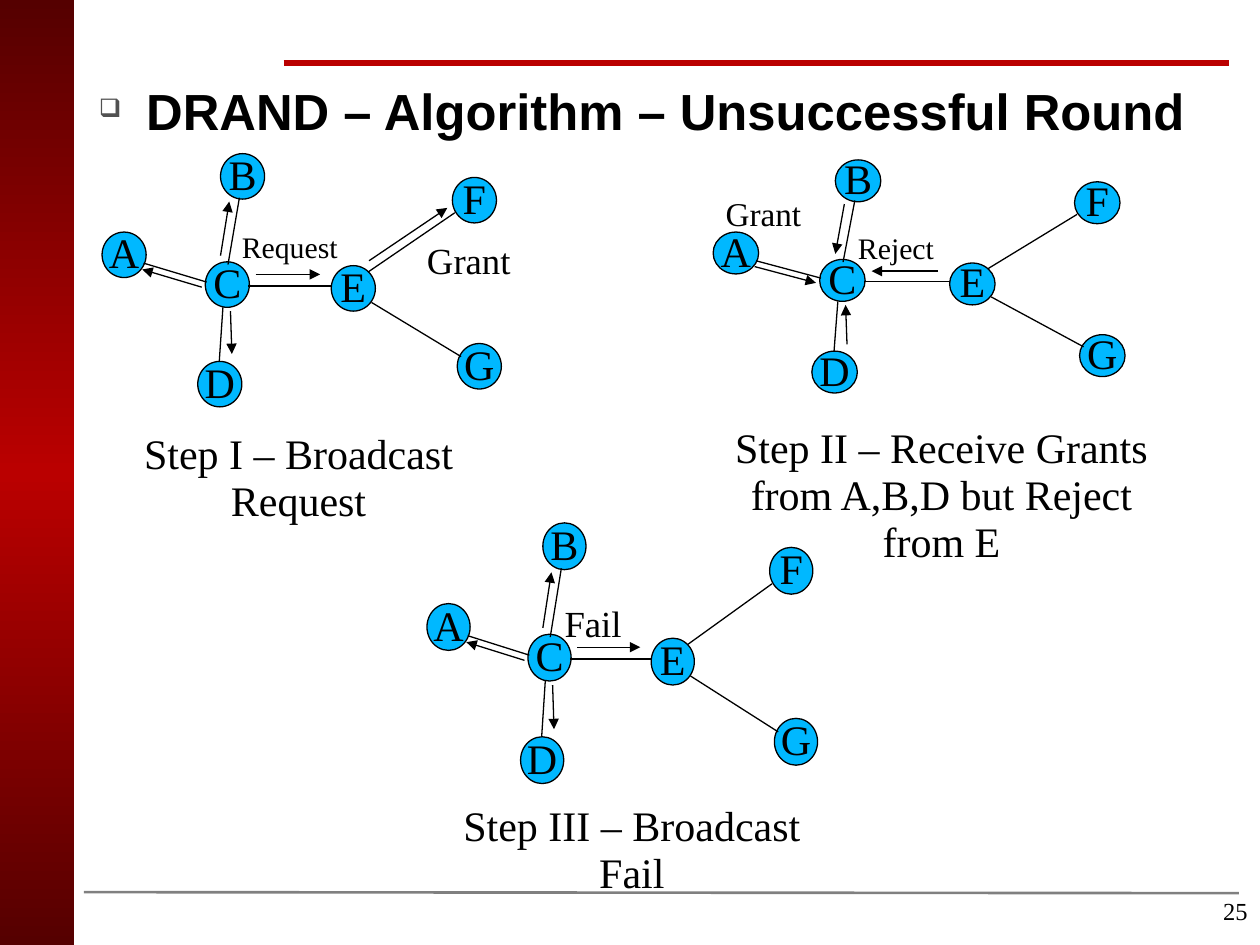
from copy import deepcopy

from lxml import etree
from pptx import Presentation
from pptx.dml.color import RGBColor
from pptx.enum.shapes import MSO_CONNECTOR, MSO_SHAPE
from pptx.enum.text import MSO_ANCHOR, PP_ALIGN
from pptx.oxml.ns import qn
from pptx.util import Pt

STRAIGHT = MSO_CONNECTOR.STRAIGHT
OVAL, RECTANGLE = MSO_SHAPE.OVAL, MSO_SHAPE.RECTANGLE
TOP, MIDDLE = MSO_ANCHOR.TOP, MSO_ANCHOR.MIDDLE
LEFT, CENTER, RIGHT = PP_ALIGN.LEFT, PP_ALIGN.CENTER, PP_ALIGN.RIGHT

BLACK = RGBColor(0x00, 0x00, 0x00)
BLUE = RGBColor(0x00, 0xB8, 0xFF)
RED = RGBColor(0xBA, 0x00, 0x00)
DARK_RED = RGBColor(0x55, 0x00, 0x00)
GRAY = RGBColor(0x80, 0x80, 0x80)
BULLET_GRAY = RGBColor(0x51, 0x51, 0x51)

SERIF = "Times New Roman"
GRAPH_WIDTH, GRAPH_HEIGHT = 228.2, 144.7
NODE_WIDTH, NODE_HEIGHT = 25.2, 26
NODES = {
    "A": (0, 44.8), "F": (200.2, 13.6), "D": (54.7, 118.7), "G": (203, 108.5),
    "E": (131, 64), "B": (67.7, 0), "C": (59, 61.8),
}
EDGES = [
    (78.5, 25.2, 72, 63.4), (69.1, 87.8, 67, 118.8), (59.8, 73.4, 23.8, 62.6),
    (83.5, 75.6, 131, 75.6), (152, 67.7, 201.6, 33.8), (154, 85, 205.2, 116),
]
MESSAGES = {
    "CB": (67.7, 58.3, 72.7, 27.4), "CE": (87.8, 69, 124.6, 69),
    "CD": (73.4, 90, 74.2, 114.5), "CA": (57, 76.3, 23, 66.2),
    "EF": (152.6, 61.2, 197.3, 31),
}
FROM_C = ["CB", "CE", "CD", "CA"]


def write_text(shape, text, size, align=LEFT, anchor=TOP, font=SERIF, bold=False,
               margins=(0, 0, 0, 0), wrap=True):
    frame = shape.text_frame
    sides = ("left", "top", "right", "bottom")
    frame_format = {f"margin_{side}": Pt(value) for side, value in zip(sides, margins)}
    frame_format |= {"word_wrap": wrap, "vertical_anchor": anchor}
    for name, value in frame_format.items():
        setattr(frame, name, value)
    para = frame.paragraphs[0]
    para.alignment = align
    para.line_spacing = 0.93
    span = para.add_run()
    span.text = text
    for name, value in {"name": font, "size": Pt(size), "bold": bold}.items():
        setattr(span.font, name, value)
    span.font.color.rgb = BLACK
    return para


def add_text(page, box, text, size, **text_format):
    shape = page.shapes.add_textbox(*map(Pt, box))
    return write_text(shape, text, size, **text_format)


def add_line(page, ends, color=BLACK, width=0.75, arrow=False):
    line = page.shapes.add_connector(STRAIGHT, *map(Pt, ends))
    line.line.color.rgb = color
    line.line.width = Pt(width)
    if arrow:
        outline = line.line._get_or_add_ln()
        etree.SubElement(outline, qn("a:tailEnd"), type="triangle")
    etree.SubElement(line._element.spPr, qn("a:effectLst"))


def add_sidebar(page, box):
    bar = page.shapes.add_shape(RECTANGLE, *map(Pt, box))
    bar.shadow.inherit = False
    bar.line.fill.background()
    bar.fill.gradient()
    bar.fill.gradient_angle = 90
    stop_list = bar._element.spPr.find(qn("a:gradFill")).find(qn("a:gsLst"))
    stop_list.insert(1, deepcopy(stop_list[0]))
    stops = zip(bar.fill.gradient_stops, (0, 0.5, 1), (DARK_RED, RED, DARK_RED))
    for stop, position, color in stops:
        stop.position = position
        stop.color.rgb = color


def add_title(page, box, text):
    para = add_text(page, box, text, 29, font="Arial", bold=True,
                    margins=(7.2, 6.5, 7.2, 3.6))
    properties = para._p.get_or_add_pPr()
    properties.set("marL", str(Pt(34.4)))
    properties.set("indent", str(Pt(-27)))
    bullet_color = etree.SubElement(properties, qn("a:buClr"))
    etree.SubElement(bullet_color, qn("a:srgbClr"), val=str(BULLET_GRAY))
    etree.SubElement(properties, qn("a:buSzPct"), val="50000")
    etree.SubElement(properties, qn("a:buChar"), char="❑")


def add_graph(page, box, messages, inbound=False):
    left, top, width, height = box
    scale_x, scale_y = width / GRAPH_WIDTH, height / GRAPH_HEIGHT

    def place(x, y):
        return left + x * scale_x, top + y * scale_y

    for letter, corner in NODES.items():
        size = NODE_WIDTH * scale_x, NODE_HEIGHT * scale_y
        node = page.shapes.add_shape(OVAL, *map(Pt, place(*corner) + size))
        node.shadow.inherit = False
        node.fill.solid()
        node.fill.fore_color.rgb = BLUE
        node.line.color.rgb = BLACK
        node.line.width = Pt(0.75)
        write_text(node, letter, 24, align=CENTER, anchor=MIDDLE, wrap=False)
    for x1, y1, x2, y2 in EDGES:
        add_line(page, place(x1, y1) + place(x2, y2))
    for message in messages:
        x1, y1, x2, y2 = MESSAGES[message]
        start, end = place(x1, y1), place(x2, y2)
        add_line(page, end + start if inbound else start + end, arrow=True)


def add_step(page, graph_box, messages, labels, caption_box, caption, inbound=False):
    add_graph(page, graph_box, messages, inbound)
    for text, size, label_left, label_top in labels:
        add_text(page, (label_left, label_top, 58, size * 1.12), text, size)
    add_text(page, caption_box, caption, 24, align=CENTER)


def main():
    deck = Presentation()
    deck.slide_width, deck.slide_height = Pt(720), Pt(540)
    page = deck.slides.add_slide(deck.slide_layouts[6])
    add_text(page, (552, 510, 168, 23), "25", 14, align=RIGHT,
             margins=(7.2, 3.6, 7.2, 3.6))
    add_sidebar(page, (0, 0, 42.3, 540))
    add_line(page, (162, 36, 702, 36), RED, 3)
    add_line(page, (48, 509.8, 708, 510.4), GRAY, 1.5)
    add_title(page, (42, 42, 660, 48), "DRAND – Algorithm – Unsuccessful Round")
    add_step(page, (58.3, 87.8, GRAPH_WIDTH, GRAPH_HEIGHT), FROM_C + ["EF"],
             [("Request", 17, 138.2, 132.5), ("Grant", 21, 244, 138.2)],
             (64.8, 247, 211.7, 53.3), "Step I – Broadcast Request")
    add_step(page, (407.5, 91.4, 235.4, 133.2), FROM_C,
             [("Reject", 17, 490.3, 133.2), ("Grant", 19, 414.7, 112.3)],
             (417, 243.4, 242, 80.6),
             "Step II – Receive Grants from A,B,D but Reject from E", inbound=True)
    add_step(page, (244, 298.8, 223.2, 149), FROM_C,
             [("Fail", 21, 322.6, 345.6)],
             (257.8, 459.4, 206.6, 53.3), "Step III – Broadcast Fail")
    deck.save("out.pptx")


if __name__ == "__main__":
    main()
